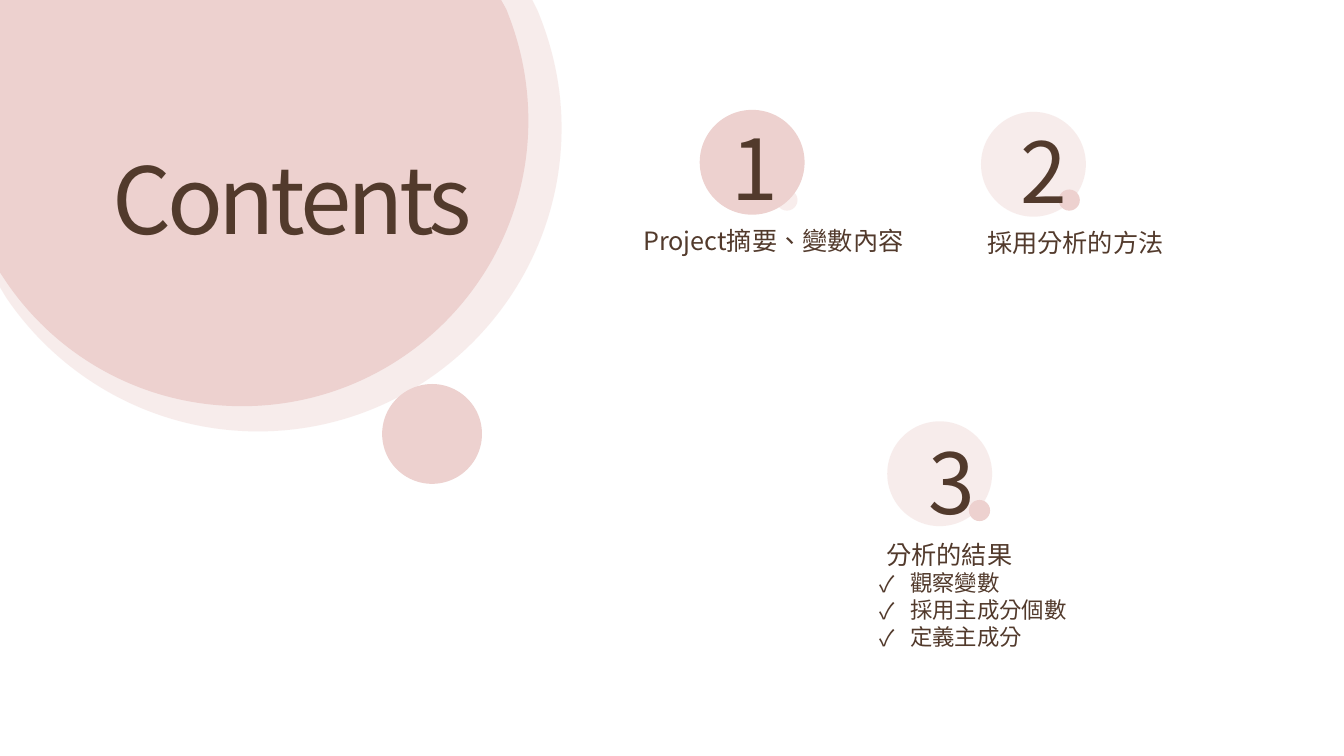
from lxml import etree
from pptx import Presentation
from pptx.dml.color import RGBColor
from pptx.enum.shapes import MSO_SHAPE
from pptx.enum.text import MSO_ANCHOR, PP_ALIGN
from pptx.oxml.ns import qn
from pptx.util import Inches, Pt

COLORS = {"rose": "EDD1CF", "blush": "F6E8E7", "pale": "F8EDEC", "brown": "523A2C"}
FONT = "Noto Sans CJK SC"

prs = Presentation()
prs.slide_width, prs.slide_height = Inches(13.33), Inches(7.5)
slide = prs.slides.add_slide(prs.slide_layouts[6])
shapes = slide.shapes


def paint(shape, color, alpha=100):
    """Give a shape a flat fill without line or shadow; alpha is in percent."""
    shape.shadow.inherit = False
    shape.line.fill.background()
    shape.fill.solid()
    shape.fill.fore_color.rgb = RGBColor.from_string(COLORS[color])
    if alpha < 100:
        srgb = shape._element.spPr.find(qn("a:solidFill"))[0]
        etree.SubElement(srgb, qn("a:alpha")).set("val", str(alpha * 1000))


def add_text(left, top, width, height, lines, size, anchor=MSO_ANCHOR.TOP):
    box = shapes.add_textbox(Inches(left), Inches(top), Inches(width), Inches(height))
    frame = box.text_frame
    frame.word_wrap = True
    frame.vertical_anchor = anchor
    frame.text = "\n".join(lines)
    for paragraph in frame.paragraphs:
        paragraph.alignment = PP_ALIGN.CENTER
        for run in paragraph.runs:
            run.font.size = Pt(size)
            run.font.name = FONT
            run.font.color.rgb = RGBColor.from_string(COLORS["brown"])
            run_properties = run._r.get_or_add_rPr()
            run_properties.set("lang", "zh-TW")
            etree.SubElement(run_properties, qn("a:ea")).set("typeface", FONT)
    return frame


# Large discs cut off by the slide edges: each segment is a line's end point,
# or two control points and the end point of a curve
discs = [
    ("blush", 80, (2.56, 4.28), [
        [(1.52, 4.28), (0.6, 3.75), (0.06, 2.95)],
        [(0, 2.85)], [(0, 0)], [(5.28, 0)], [(5.33, 0.1)],
        [(5.48, 0.46), (5.57, 0.85), (5.57, 1.27)],
        [(5.57, 2.93), (4.22, 4.28), (2.56, 4.28)]]),
    ("rose", 100, (2.4, 4.03), [
        [(1.42, 4.03), (0.56, 3.54), (0.05, 2.78)],
        [(-0.01, 2.69)], [(-0.01, 0)], [(4.97, 0)], [(5.02, 0.09)],
        [(5.16, 0.43), (5.24, 0.8), (5.24, 1.2)],
        [(5.24, 2.76), (3.97, 4.03), (2.4, 4.03)]]),
]
for color, alpha, (start_x, start_y), segments in discs:
    builder = shapes.build_freeform(Inches(start_x), Inches(start_y))
    builder.add_line_segments([(Inches(x), Inches(y)) for *_, (x, y) in segments])
    disc = builder.convert_to_shape()
    for line, points in zip(list(disc._element.iter(qn("a:lnTo"))), segments):
        if len(points) == 3:
            line.tag = qn("a:cubicBezTo")
            line.clear()
            for x, y in points:
                point = etree.SubElement(line, qn("a:pt"))
                point.set("x", str(Inches(x) - disc.left))
                point.set("y", str(Inches(y) - disc.top))
    paint(disc, color, alpha)

# Circles: left, top, diameter, color, alpha
circles = [
    (7.7, 1.88, 0.21, "pale", 100),
    (6.94, 1.09, 1.04, "rose", 100),
    (3.79, 3.81, 0.99, "rose", 100),
    (9.73, 1.11, 1.04, "blush", 80),
    (10.5, 1.88, 0.21, "rose", 100),
    (8.8, 4.18, 1.04, "blush", 80),
    (9.61, 4.96, 0.21, "rose", 100),
]
for left, top, diameter, color, alpha in circles:
    circle = shapes.add_shape(MSO_SHAPE.OVAL, Inches(left), Inches(top),
                              Inches(diameter), Inches(diameter))
    paint(circle, color, alpha)

add_text(6.26, 2.19, 2.82, 0.71, ["Project摘要、變數內容"], 18)
add_text(9.68, 2.21, 1.97, 0.4, ["採用分析的方法"], 18)

results = add_text(8.12, 5.3, 2.59, 1.51,
                   ["分析的結果", "觀察變數", "採用主成分個數", "定義主成分"], 18)
for item in results.paragraphs[1:]:
    item.alignment = PP_ALIGN.LEFT
    item.level = 1
    properties = item._p.get_or_add_pPr()
    properties.set("marL", str(Inches(0.81)))
    properties.set("indent", str(Inches(-0.31)))
    etree.SubElement(properties, qn("a:buFont")).set("typeface", FONT)
    etree.SubElement(properties, qn("a:buChar")).set("char", "✓")
    item.runs[0].font.size = Pt(16)

for number, left, top in [("1", 7.16, 1.13), ("2", 10.02, 1.16), ("3", 9.11, 4.25)]:
    add_text(left, top, 0.47, 1.05, [number], 60, MSO_ANCHOR.MIDDLE)

title = add_text(-0.07, 1.5, 5.94, 0.93, ["Contents"], 66, MSO_ANCHOR.MIDDLE)
title.paragraphs[0].runs[0]._r.get_or_add_rPr().set("spc", "-300")

prs.save("out.pptx")
